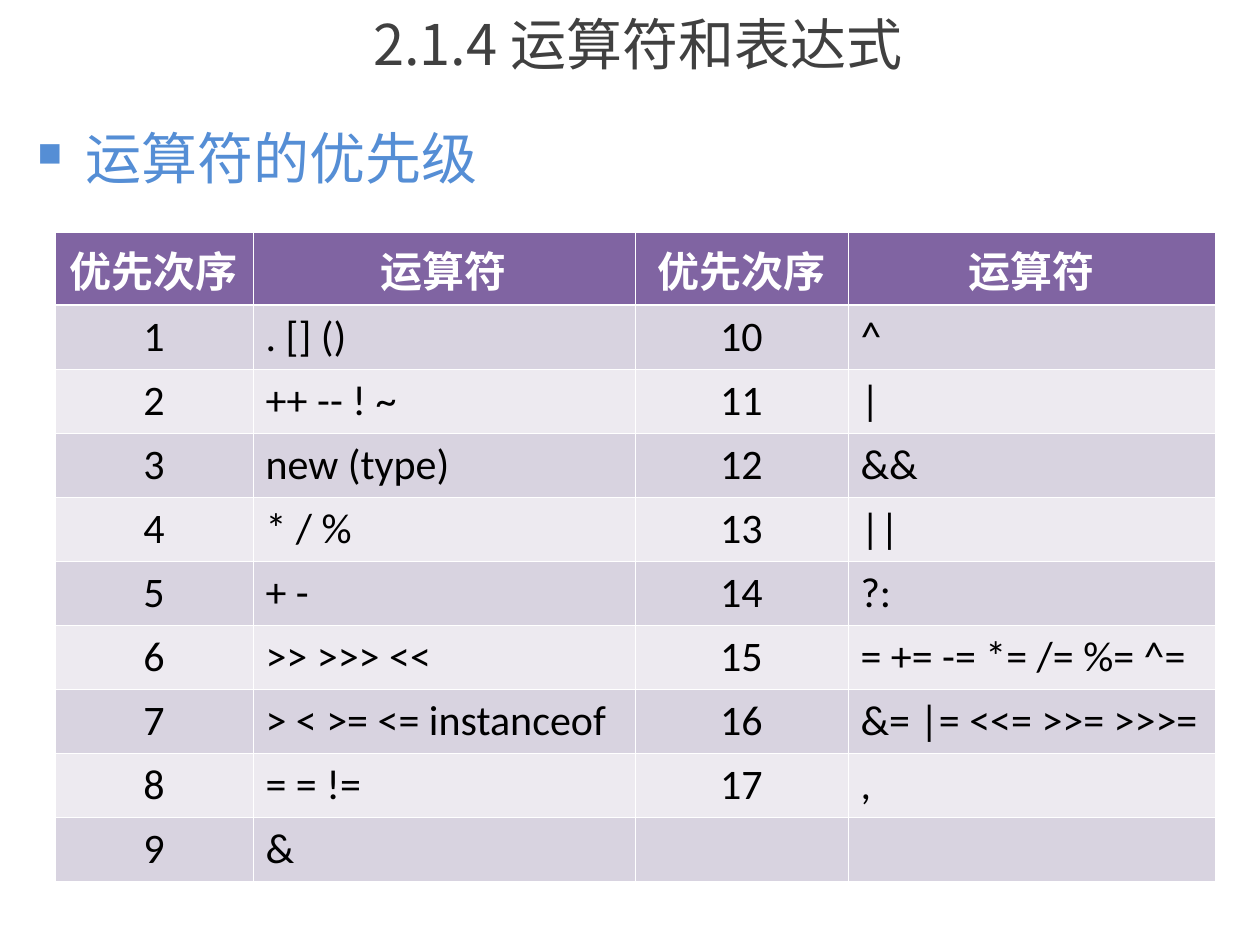
from dataclasses import dataclass

from lxml import etree
from pptx import Presentation, util as u
from pptx.dml.color import RGBColor
from pptx.enum import text
from pptx.oxml import ns

SLIDE_WIDTH, SLIDE_HEIGHT = 1260, 945
PRECEDENCE = [
    ("优先次序", "运算符", "优先次序", "运算符"),
    ("1", ". [] ()", "10", "^"),
    ("2", "++ -- ! ~", "11", "|"),
    ("3", "new (type)", "12", "&&"),
    ("4", "* / %", "13", "||"),
    ("5", "+ -", "14", "?:"),
    ("6", ">> >>> <<", "15", "= += -= *= /= %= ^="),
    ("7", "> < >= <= instanceof", "16", "&= |= <<= >>= >>>="),
    ("8", "= = !=", "17", ","),
    ("9", "&", "", ""),
]


@dataclass(frozen=True)
class Theme:
    """Colours, fonts and type sizes of the slide."""
    title: str = "404040"
    shadow: str = "999999"
    topic: str = "558ED5"
    header: str = "8064A2"
    bands: tuple = ("EDEAF0", "D8D3E0")
    white: str = "FFFFFF"
    black: str = "000000"
    chinese: str = "Noto Sans CJK SC"
    latin: str = "Calibri"
    heading_size: int = 32
    table_size: int = 24


THEME = Theme()


def px(length):
    """Turn slide pixels into EMU."""
    return u.Emu(round(length * 914400 / 126))


def add_element(parent, tag, **attributes):
    """Append a DrawingML element and return it."""
    return etree.SubElement(parent, ns.qn(tag), attributes)


def set_font(paragraph, size, color, latin, bold=False):
    """Give a whole paragraph its type style."""
    font = paragraph.font
    font.size, font.name, font.bold = u.Pt(size), latin, bold
    font.color.rgb = RGBColor.from_string(color)
    add_element(font._element, "a:ea", typeface=THEME.chinese)


def add_text(slide, box, words):
    """Place a wrapping text box and return its frame."""
    frame = slide.shapes.add_textbox(*map(px, box)).text_frame
    frame.word_wrap = True
    frame.text = words
    return frame


def add_title(slide, box):
    """Place the centred, shadowed section title."""
    frame = add_text(slide, box, "2.1.4 运算符和表达式")
    frame.vertical_anchor = text.MSO_ANCHOR.MIDDLE
    heading = frame.paragraphs[0]
    heading.alignment = text.PP_ALIGN.CENTER
    set_font(heading, THEME.heading_size, THEME.title, THEME.chinese)
    effects = add_element(heading.runs[0]._r.get_or_add_rPr(), "a:effectLst")
    shadow = add_element(effects, "a:outerShdw", dist="38100", dir="2700000")
    add_element(shadow, "a:srgbClr", val=THEME.shadow)


def add_topic(slide, box):
    """Place the bulleted topic line."""
    topic = add_text(slide, box, "运算符的优先级").paragraphs[0]
    topic.line_spacing = 0.9
    properties = topic._p.get_or_add_pPr()
    properties.set("marL", str(px(48)))
    properties.set("indent", str(px(-48)))
    bullet_color = add_element(properties, "a:buClr")
    add_element(bullet_color, "a:srgbClr", val=THEME.topic)
    add_element(properties, "a:buSzPct", val="60000")
    add_element(properties, "a:buChar", char="■")
    set_font(topic, THEME.heading_size, THEME.topic, THEME.chinese)


def set_borders(cell, row):
    """Draw white cell edges, heavier under the header."""
    properties = cell._tc.get_or_add_tcPr()
    heavy_edge = {0: "B", 1: "T"}.get(row)
    for position, side in enumerate("LRTB"):
        points = 1.47 if side == heavy_edge else 0.45
        edge = add_element(properties, f"a:ln{side}", w=str(u.Pt(points)))
        fill = add_element(edge, "a:solidFill")
        add_element(fill, "a:srgbClr", val=THEME.white)
        properties.insert(position, edge)


def fill_cell(cell, row, column, words):
    """Write and style one table cell."""
    is_header = row == 0
    cell.fill.solid()
    color = THEME.header if is_header else THEME.bands[row % 2]
    cell.fill.fore_color.rgb = RGBColor.from_string(color)
    set_borders(cell, row)
    cell.text = words
    entry = cell.text_frame.paragraphs[0]
    if is_header or column % 2 == 0:
        entry.alignment = text.PP_ALIGN.CENTER
    ink = THEME.white if is_header else THEME.black
    set_font(entry, THEME.table_size, ink, THEME.latin, is_header)


def add_precedence_table(slide, box):
    """Place the table of operators by precedence."""
    widths = (198, 382, 213, 367)
    table = slide.shapes.add_table(
        len(PRECEDENCE), len(widths), *map(px, box)).table
    for column, width in zip(table.columns, widths):
        column.width = px(width)
    for row, entries in enumerate(PRECEDENCE):
        table.rows[row].height = px(64 if row else 73)
        for column, words in enumerate(entries):
            fill_cell(table.cell(row, column), row, column, words)


def main():
    """Build and save the slide."""
    deck = Presentation()
    deck.slide_width, deck.slide_height = px(SLIDE_WIDTH), px(SLIDE_HEIGHT)
    slide = deck.slides.add_slide(deck.slide_layouts[6])
    add_title(slide, (91, 0, 1094, 86))
    add_topic(slide, (25, 125, 1211, 804))
    add_precedence_table(slide, (55, 232, 1160, 649))
    deck.save("out.pptx")


if __name__ == "__main__":
    main()
